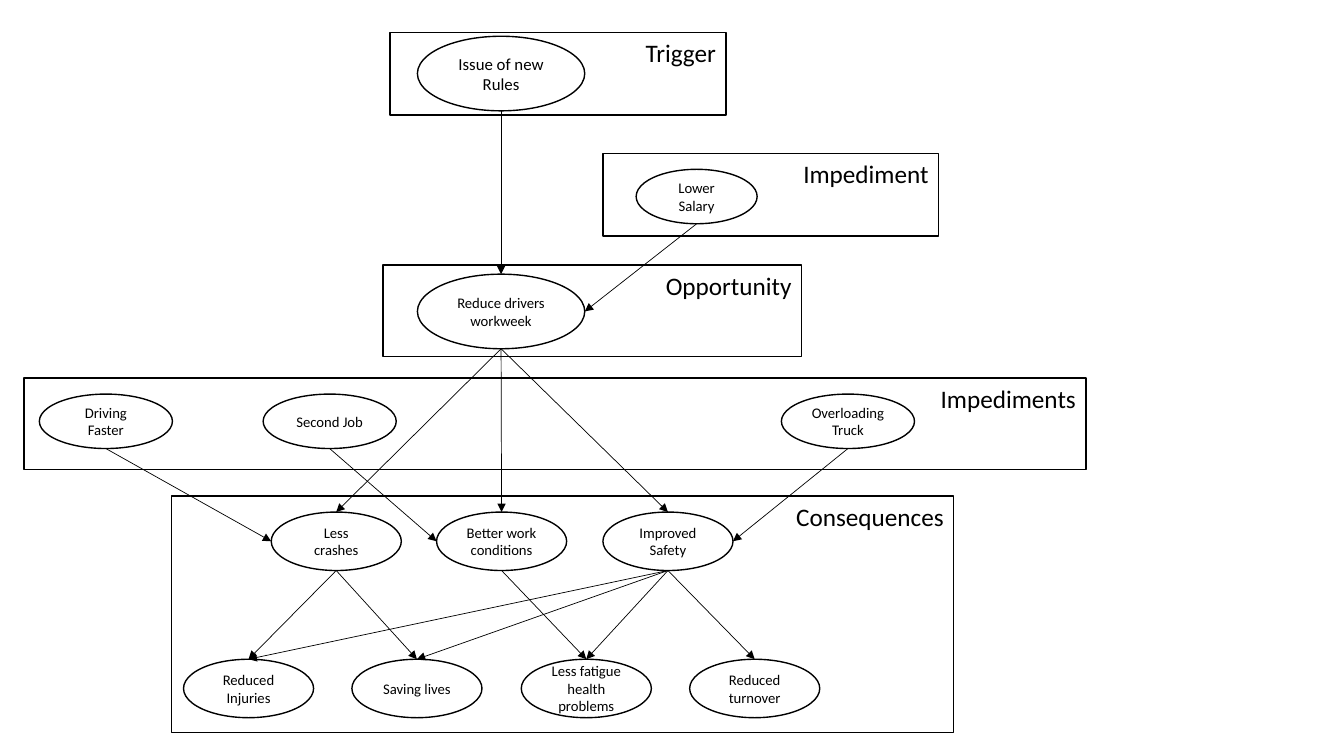
import pptx
import pptx.util
import pptx.dml.color
import pptx.enum.shapes
import pptx.enum.text
import pptx.oxml
import pptx.oxml.ns

Inches = pptx.util.Inches
Pt = pptx.util.Pt
Shape = pptx.enum.shapes.MSO_SHAPE
Align = pptx.enum.text.PP_ALIGN
Anchor = pptx.enum.text.MSO_ANCHOR

theme = {
    "font": "Calibri",
    "ink": pptx.dml.color.RGBColor(0, 0, 0),
    "group": 18,
    "trigger": 12,
    "event": 10.5,
    "outline": 1,
    "arrow": 0.5,
}

deck = pptx.Presentation()
deck.slide_width, deck.slide_height = Inches(13.33), Inches(7.5)
page = deck.slides.add_slide(deck.slide_layouts[6])


def add_box(kind, text, place, size, align, anchor):
    box = page.shapes.add_shape(kind, *[Inches(length) for length in place])
    box.shadow.inherit = False
    box.fill.background()
    box.line.color.rgb = theme["ink"]
    box.line.width = Pt(theme["outline"])
    box.text_frame.word_wrap = True
    box.text_frame.vertical_anchor = anchor
    para = box.text_frame.paragraphs[0]
    para.alignment = align
    span = para.add_run()
    span.text = text
    for name, value in {"name": theme["font"], "size": Pt(size)}.items():
        setattr(span.font, name, value)
    span.font.color.rgb = theme["ink"]


def add_arrow(start, end):
    points = [Inches(length) for length in (*start, *end)]
    arrow = page.shapes.add_connector(pptx.enum.shapes.MSO_CONNECTOR.STRAIGHT, *points)
    arrow.line.color.rgb = theme["ink"]
    arrow.line.width = Pt(theme["arrow"])
    head = pptx.oxml.parse_xml(f'<a:tailEnd {pptx.oxml.ns.nsdecls("a")} type="triangle"/>')
    arrow.line._get_or_add_ln().append(head)
    effects = pptx.oxml.parse_xml(f'<a:effectLst {pptx.oxml.ns.nsdecls("a")}/>')
    arrow._element.spPr.append(effects)


rows = [
    (0.36, 1.66, 0.74, {"Issue of new Rules": 4.14}),
    (1.68, 1.2, 0.54, {"Lower Salary": 6.31}),
    (2.72, 1.66, 0.74, {"Reduce drivers workweek": 4.14}),
    (3.91, 1.32, 0.54, {"Driving Faster": 0.39, "Second Job": 2.61, "Overloading Truck": 7.75}),
    (5.08, 1.29, 0.58, {"Less crashes": 2.69, "Better work conditions": 4.33, "Improved Safety": 5.98}),
    (6.54, 1.29, 0.58, {"Reduced Injuries": 1.82, "Saving lives": 3.49,
                        "Less fatigue health problems": 5.17, "Reduced turnover": 6.84}),
]
ports = {}
for top, width, height, events in rows:
    for event, left in events.items():
        size = theme["trigger" if event == "Issue of new Rules" else "event"]
        add_box(Shape.OVAL, event, (left, top, width, height), size, Align.CENTER, Anchor.MIDDLE)
        ports[event] = {
            "top": (left + width / 2, top),
            "bottom": (left + width / 2, top + height),
            "left": (left, top + height / 2),
            "right": (left + width, top + height / 2),
        }

links = [
    ("Issue of new Rules", "top", ["Reduce drivers workweek"]),
    ("Reduce drivers workweek", "top", ["Less crashes", "Better work conditions", "Improved Safety"]),
    ("Less crashes", "top", ["Reduced Injuries", "Saving lives"]),
    ("Better work conditions", "top", ["Less fatigue health problems"]),
    ("Improved Safety", "top", ["Reduced Injuries", "Saving lives",
                                "Less fatigue health problems", "Reduced turnover"]),
    ("Lower Salary", "right", ["Reduce drivers workweek"]),
    ("Overloading Truck", "right", ["Improved Safety"]),
    ("Driving Faster", "left", ["Less crashes"]),
    ("Second Job", "left", ["Better work conditions"]),
]
for source, side, targets in links:
    for target in targets:
        add_arrow(ports[source]["bottom"], ports[target][side])

groups = {
    "Trigger": (3.87, 0.32, 3.33, 0.82),
    "Impediment": (5.98, 1.52, 3.33, 0.82),
    "Opportunity": (3.8, 2.63, 4.15, 0.91),
    "Impediments": (0.24, 3.75, 10.53, 0.91),
    "Consequences": (1.7, 4.92, 7.76, 2.35),
}
for group, place in groups.items():
    add_box(Shape.RECTANGLE, group, place, theme["group"], Align.RIGHT, Anchor.TOP)

deck.save("out.pptx")
